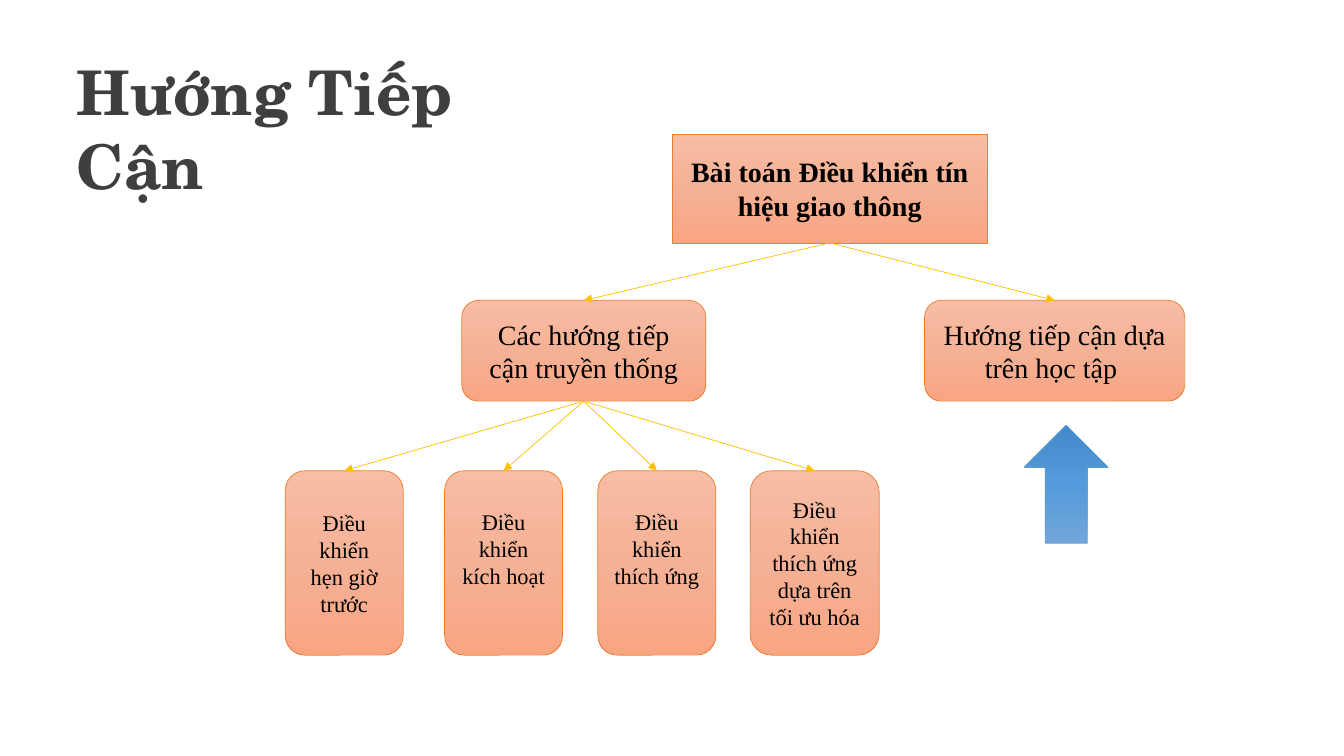
from copy import deepcopy

from lxml.etree import SubElement
from pptx import Presentation
from pptx.dml.color import RGBColor
from pptx.enum.shapes import MSO_CONNECTOR, MSO_SHAPE
from pptx.enum.text import MSO_ANCHOR, MSO_AUTO_SIZE, PP_ALIGN
from pptx.oxml.ns import qn
from pptx.util import Inches, Pt

BLACK = RGBColor(0x00, 0x00, 0x00)
TITLE_GRAY = RGBColor(0x3F, 0x3F, 0x3F)
ORANGE = RGBColor(0xED, 0x7D, 0x31)
GOLD = RGBColor(0xFF, 0xC0, 0x00)
BLUE = RGBColor(0x5B, 0x9B, 0xD5)
PEACH_STOPS = (RGBColor(0xF7, 0xBD, 0xA5), RGBColor(0xF5, 0xB1, 0x96), RGBColor(0xF8, 0xA5, 0x82))
BLUE_STOPS = (RGBColor(0x71, 0xA6, 0xDB), RGBColor(0x55, 0x9B, 0xDB), RGBColor(0x44, 0x8A, 0xCA))

TITLE_FONT = "TeX Gyre Schola"
BODY_FONT = "Times New Roman"
TOP, BOTTOM = 0, 2  # connection sites of a box
METHOD_TOP, METHOD_HEIGHT = 4.67, 1.83

# left, width, text, bottom inset
METHODS = (
    (2.83, 1.17, "Điều khiển hẹn giờ trước", 0.05),
    (4.41, 1.17, "Điều khiển kích hoạt", 0.34),
    (5.93, 1.17, "Điều khiển thích ứng", 0.34),
    (7.44, 1.28, "Điều khiển thích ứng dựa trên tối ưu hóa", 0.05),
)


def add_run(paragraph, text, font_name, size, color, bold=False):
    run = paragraph.add_run()
    run.text = text
    run.font.name = font_name
    run.font.size = Pt(size)
    run.font.bold = bold
    run.font.color.rgb = color


def add_gradient_shape(slide, kind, left, top, width, height, stops, line_color):
    """Add a preset shape with a three-stop gradient running from top to bottom."""
    shape = slide.shapes.add_shape(kind, Inches(left), Inches(top), Inches(width), Inches(height))
    shape.shadow.inherit = False
    shape.line.color.rgb = line_color
    shape.line.width = Pt(0.5)
    shape.fill.gradient()
    shape.fill.gradient_angle = 270
    stop_list = shape.fill._xPr.find(".//" + qn("a:gsLst"))
    stop_list.insert(1, deepcopy(stop_list[0]))
    for index, (stop, color) in enumerate(zip(shape.fill.gradient_stops, stops)):
        stop.position = index / 2
        stop.color.rgb = color
    return shape


def add_box(slide, kind, left, top, width, height, text, size, bold=False, bottom_inset=0.05):
    box = add_gradient_shape(slide, kind, left, top, width, height, PEACH_STOPS, ORANGE)
    frame = box.text_frame
    frame.word_wrap = True
    frame.vertical_anchor = MSO_ANCHOR.MIDDLE
    frame.margin_bottom = Inches(bottom_inset)
    paragraph = frame.paragraphs[0]
    paragraph.alignment = PP_ALIGN.CENTER
    add_run(paragraph, text, BODY_FONT, size, BLACK, bold)
    return box


def add_arrow(slide, parent, child):
    """Link the bottom of the parent box to the top of the child box."""
    arrow = slide.shapes.add_connector(MSO_CONNECTOR.STRAIGHT, 0, 0, 0, 0)
    arrow.begin_connect(parent, BOTTOM)
    arrow.end_connect(child, TOP)
    arrow.line.color.rgb = GOLD
    arrow.line.width = Pt(0.5)
    SubElement(arrow.line._get_or_add_ln(), qn("a:tailEnd"), type="triangle")
    SubElement(arrow._element.spPr, qn("a:effectLst"))


def add_title(slide, text):
    title = slide.shapes.add_textbox(Inches(0.66), Inches(0.49), Inches(4.8), Inches(0.84))
    frame = title.text_frame
    frame.word_wrap = True
    frame.auto_size = MSO_AUTO_SIZE.SHAPE_TO_FIT_TEXT
    add_run(frame.paragraphs[0], text, TITLE_FONT, 44, TITLE_GRAY, bold=True)


def main():
    presentation = Presentation()
    presentation.slide_width = Inches(13.33)
    presentation.slide_height = Inches(7.5)
    slide = presentation.slides.add_slide(presentation.slide_layouts[6])

    add_title(slide, "Hướng Tiếp Cận")
    rounded = MSO_SHAPE.ROUNDED_RECTANGLE
    problem = add_box(slide, MSO_SHAPE.RECTANGLE, 6.67, 1.33, 3.12, 1.08,
                      "Bài toán Điều khiển tín hiệu giao thông", 20, bold=True)
    traditional = add_box(slide, rounded, 4.58, 2.98, 2.42, 1,
                          "Các hướng tiếp cận truyền thống", 20)
    learning = add_box(slide, rounded, 9.17, 2.98, 2.58, 1,
                       "Hướng tiếp cận dựa trên học tập ", 20)
    for approach in (traditional, learning):
        add_arrow(slide, problem, approach)

    for left, width, text, bottom_inset in METHODS:
        method = add_box(slide, rounded, left, METHOD_TOP, width, METHOD_HEIGHT,
                         text, 16, bottom_inset=bottom_inset)
        add_arrow(slide, traditional, method)

    pointer = add_gradient_shape(slide, MSO_SHAPE.DOWN_ARROW, 10.16, 4.22, 0.83, 1.17,
                                 BLUE_STOPS, BLUE)
    pointer.rotation = 180
    presentation.save("out.pptx")


if __name__ == "__main__":
    main()
